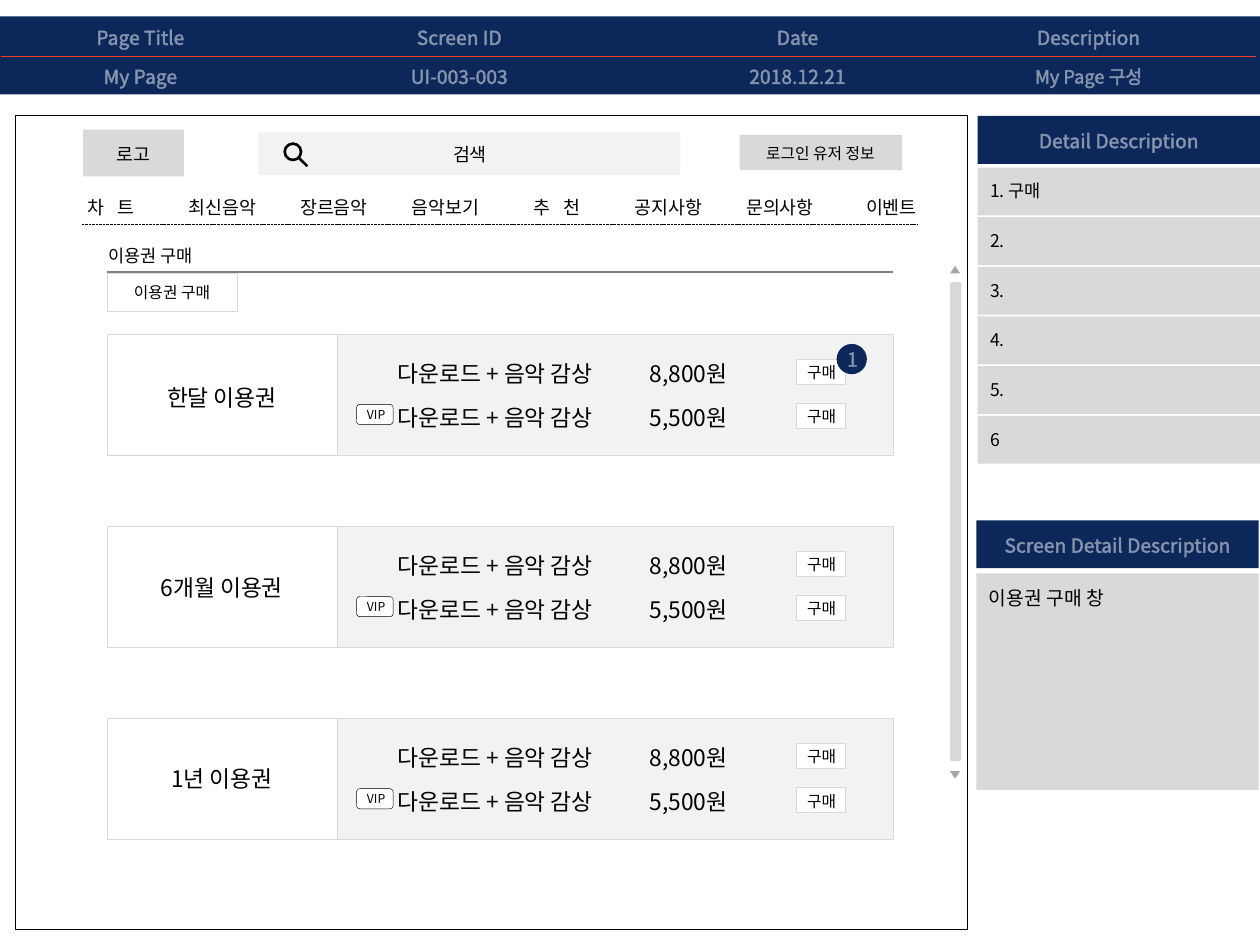
from dataclasses import dataclass

from lxml.etree import SubElement
from pptx import Presentation
from pptx.dml.color import RGBColor
from pptx.enum.dml import MSO_LINE_DASH_STYLE as DASH
from pptx.enum.shapes import MSO_CONNECTOR as CONNECTOR, MSO_SHAPE as SHAPE
from pptx.enum.text import MSO_ANCHOR as ANCHOR, PP_ALIGN as ALIGN
from pptx.oxml.ns import qn
from pptx.util import Inches, Pt


@dataclass(frozen=True)
class Theme:
    font: str = "Noto Sans CJK KR"
    navy: str = "0C2759"
    red: str = "F33A24"
    white: str = "FFFFFF"
    black: str = "000000"
    pale: str = "F2F2F2"
    light: str = "D9D9D9"
    medium: str = "A6A6A6"
    dark: str = "808080"
    tiny: float = 7
    small: float = 9
    body: float = 10
    menu: float = 10.5
    heading: float = 11
    plan: float = 13


THEME = Theme()


def add_box(slide, left, top, width, height, fill=None, line=None,
            weight=0.25, kind=SHAPE.RECTANGLE):
    shape = slide.shapes.add_shape(
        kind, Inches(left), Inches(top), Inches(width), Inches(height))
    shape.shadow.inherit = False
    if fill:
        shape.fill.solid()
        shape.fill.fore_color.rgb = RGBColor.from_string(fill)
    else:
        shape.fill.background()
    if line:
        shape.line.color.rgb = RGBColor.from_string(line)
        shape.line.width = Pt(weight)
    else:
        shape.line.fill.background()
    return shape


def set_alpha(fill_element, percent):
    color = next(fill_element.iter(qn("a:srgbClr")))
    SubElement(color, qn("a:alpha")).set("val", str(percent * 1000))


def add_text(slide, text, left, top, width, height, size,
             color=THEME.black, align=ALIGN.CENTER, tracking=0):
    box = slide.shapes.add_textbox(
        Inches(left), Inches(top), Inches(width), Inches(height))
    frame = box.text_frame
    frame.word_wrap = True
    frame.vertical_anchor = ANCHOR.MIDDLE
    frame.margin_top = frame.margin_bottom = 0
    frame.margin_left = Inches(0.1 if align == ALIGN.LEFT else 0)
    frame.margin_right = 0
    paragraph = frame.paragraphs[0]
    paragraph.text = text
    paragraph.alignment = align
    font = paragraph.font
    font.size = Pt(size)
    font.name = THEME.font
    font.color.rgb = RGBColor.from_string(color)

    # East Asian font, letter spacing and translucent white outline
    properties = paragraph._p.pPr.find(qn("a:defRPr"))
    SubElement(properties, qn("a:ea")).set("typeface", THEME.font)
    if tracking:
        properties.set("spc", str(int(tracking * 100)))
    outline = properties.makeelement(qn("a:ln"), {"w": str(Pt(0.75))})
    properties.insert(0, outline)
    fill = SubElement(outline, qn("a:solidFill"))
    SubElement(fill, qn("a:srgbClr")).set("val", THEME.white)
    set_alpha(fill, 50)


def add_line(slide, x1, y1, x2, y2, color, weight, dash=None):
    line = slide.shapes.add_connector(
        CONNECTOR.STRAIGHT, Inches(x1), Inches(y1), Inches(x2), Inches(y2))
    line.line.color.rgb = RGBColor.from_string(color)
    line.line.width = Pt(weight)
    if dash:
        line.line.dash_style = dash
    SubElement(line._element.spPr, qn("a:effectLst"))


def add_header(slide):
    add_box(slide, 0, 0.13, 10, 0.62, THEME.navy)
    columns = [
        ("Page Title", "My Page", 0.03, 2.17, THEME.heading),
        ("Screen ID", "UI-003-003", 2.67, 1.95, THEME.heading),
        ("Date", "2018.12.21", 5.11, 2.44, THEME.heading),
        ("Description", "My Page 구성", 7.69, 1.9, THEME.menu),
    ]
    for title, value, left, width, value_size in columns:
        add_text(slide, title, left, 0.15, width, 0.29, THEME.heading, THEME.white)
        add_text(slide, value, left, 0.46, width, 0.29, value_size, THEME.white)
    add_line(slide, 0.01, 0.45, 9.97, 0.45, THEME.red, 0.75)


def add_panel_title(slide, title, left, top):
    add_box(slide, left, top, 2.24, 0.38, THEME.navy)
    add_text(slide, title, left, top + 0.05, 2.24, 0.29, THEME.heading, THEME.white)


def add_side_panels(slide):
    add_panel_title(slide, "Detail Description", 7.76, 0.92)
    for index, item in enumerate(["1. 구매", "2.", "3.", "4.", "5.", "6"]):
        top = 1.33 + index * 0.394
        add_box(slide, 7.76, top, 2.24, 0.38, THEME.light)
        add_text(slide, item, 7.76, top + 0.05, 1.48, 0.27, THEME.body,
                 align=ALIGN.LEFT)
    add_panel_title(slide, "Screen Detail Description", 7.75, 4.13)
    add_box(slide, 7.75, 4.55, 2.24, 1.72, THEME.light)
    add_text(slide, "이용권 구매 창", 7.75, 4.6, 2.22, 0.29, THEME.heading,
             align=ALIGN.LEFT)


def add_top_bar(slide):
    add_box(slide, 0.66, 1.03, 0.8, 0.37, THEME.light)
    add_text(slide, "로고", 0.68, 1.08, 0.76, 0.28, THEME.menu)
    # Search field with magnifier
    add_box(slide, 2.05, 1.05, 3.35, 0.34, THEME.pale)
    add_text(slide, "검색", 2.99, 1.08, 1.48, 0.28, THEME.menu)
    add_box(slide, 2.26, 1.14, 0.13, 0.13, line=THEME.black, weight=1.5,
            kind=SHAPE.OVAL)
    add_line(slide, 2.37, 1.25, 2.44, 1.32, THEME.black, 1.5)
    # User information
    add_box(slide, 5.87, 1.07, 1.29, 0.28, THEME.light)
    add_text(slide, "로그인 유저 정보", 5.9, 1.09, 1.22, 0.25, THEME.small)
    # Menu: two-letter entries are spread out
    entries = ["차 트", "최신음악", "장르음악", "음악보기",
               "추 천", "공지사항", "문의사항", "이벤트"]
    for index, entry in enumerate(entries):
        add_text(slide, entry, 0.14 + index * 0.885, 1.5, 1.48, 0.28, THEME.menu,
                 tracking=2.8 if " " in entry else 0)
    add_line(slide, 0.65, 1.78, 7.28, 1.78, THEME.black, 0.2, DASH.SQUARE_DOT)


def add_scroll_bar(slide):
    bar = add_box(slide, 7.54, 2.24, 0.09, 3.8, THEME.light,
                  kind=SHAPE.ROUNDED_RECTANGLE)
    bar.adjustments[0] = 0.17
    for top, rotation in [(2.11, 0), (6.12, 180)]:
        arrow = add_box(slide, 7.54, top, 0.08, 0.06, THEME.medium,
                        kind=SHAPE.ISOSCELES_TRIANGLE)
        arrow.rotation = rotation


def add_page_title(slide):
    add_text(slide, "이용권 구매", 0.76, 1.89, 0.92, 0.27, THEME.body,
             align=ALIGN.LEFT)
    add_line(slide, 0.85, 2.16, 7.09, 2.16, THEME.dark, 1.5)
    tab = add_box(slide, 0.85, 2.17, 1.03, 0.3, THEME.white, THEME.light)
    set_alpha(tab._element.spPr.find(qn("a:solidFill")), 30)
    add_text(slide, "이용권 구매", 0.86, 2.19, 1.01, 0.25, THEME.small)


def add_offer(slide, price, top):
    add_text(slide, f"다운로드 + 음악 감상\t{price}", 3.06, top, 3.16, 0.32,
             THEME.plan, align=ALIGN.LEFT)
    add_box(slide, 6.32, top + 0.05, 0.39, 0.2, THEME.white, THEME.light)
    add_text(slide, "구매", 6.26, top + 0.03, 0.52, 0.25, THEME.small)


def add_plan(slide, name, top, name_top):
    add_box(slide, 0.85, top, 6.24, 0.96, THEME.pale, THEME.light)
    add_box(slide, 0.85, top, 1.83, 0.96, THEME.white, THEME.light)
    add_text(slide, name, 1.15, name_top, 1.22, 0.32, THEME.plan)
    add_offer(slide, "8,800원", top + 0.15)
    add_offer(slide, "5,500원", top + 0.5)
    add_box(slide, 2.83, top + 0.56, 0.29, 0.16, THEME.white, THEME.black,
            kind=SHAPE.ROUNDED_RECTANGLE)
    add_text(slide, "VIP", 2.81, top + 0.56, 0.35, 0.16, THEME.tiny)


def main():
    presentation = Presentation()
    presentation.slide_width = Inches(10)
    presentation.slide_height = Inches(7.5)
    slide = presentation.slides.add_slide(presentation.slide_layouts[6])

    add_header(slide)
    add_side_panels(slide)

    # Screen area
    add_box(slide, 0.12, 0.92, 7.56, 6.46, line=THEME.black, weight=0.5)
    add_top_bar(slide)
    add_scroll_bar(slide)
    add_page_title(slide)

    # Plans
    plans = [("한달 이용권", 2.99), ("6개월 이용권", 4.5), ("1년 이용권", 6.02)]
    for index, (name, name_top) in enumerate(plans):
        add_plan(slide, name, 2.65 + index * 1.525, name_top)

    # Callout number
    add_box(slide, 6.64, 2.73, 0.24, 0.24, THEME.navy, kind=SHAPE.OVAL)
    add_text(slide, "1", 6.62, 2.72, 0.29, 0.26, THEME.heading, THEME.white)

    presentation.save("out.pptx")


if __name__ == "__main__":
    main()
